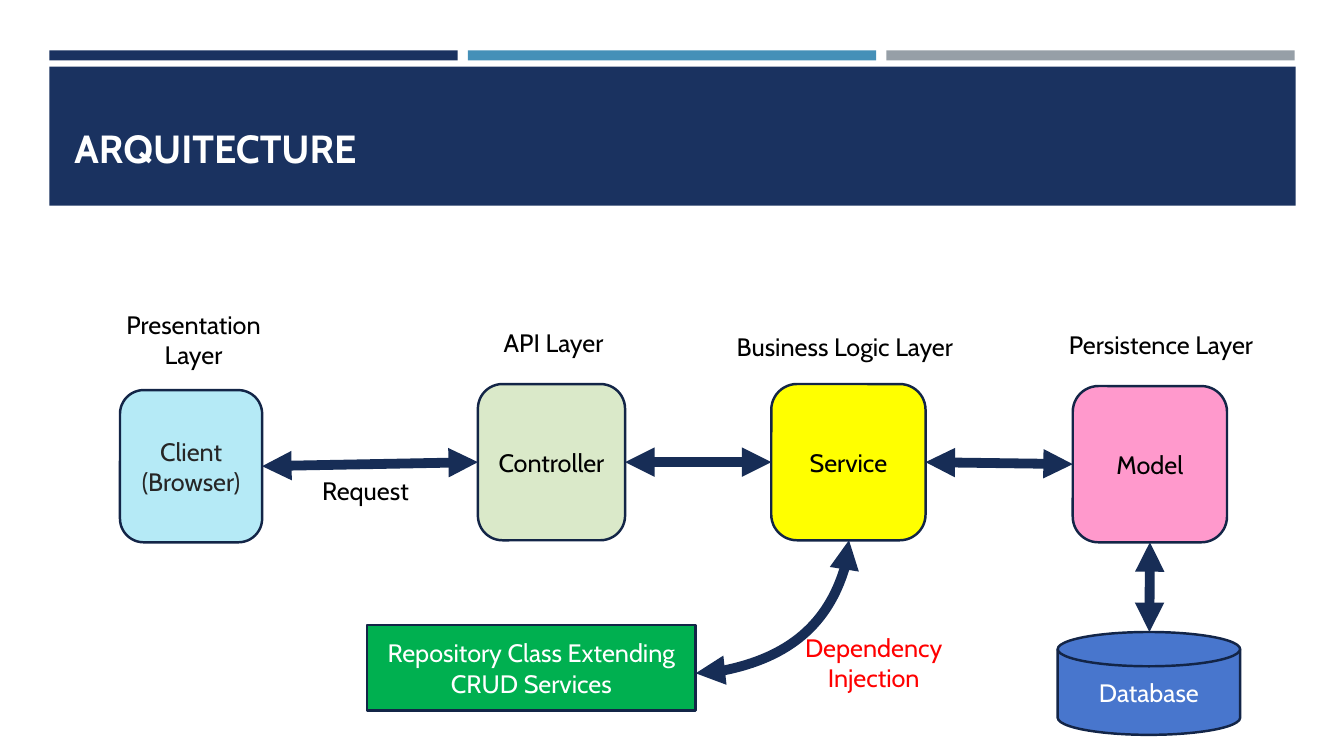
from lxml.etree import SubElement
from pptx import Presentation
from pptx.dml.color import RGBColor
from pptx.enum.shapes import MSO_CONNECTOR as Link, MSO_SHAPE as Shape
from pptx.enum.text import MSO_ANCHOR as Anchor, PP_ALIGN as Align
from pptx.oxml.ns import qn
from pptx.util import Inches, Pt

NAVY, OUTLINE, ARROW = "1A3260", "132547", "172D56"
BLACK, WHITE = "000000", "FFFFFF"


def rgb(color):
    return RGBColor.from_string(color)


class Diagram:
    font = "Cabin"
    size = 18

    def __init__(self, slide):
        self.shapes = slide.shapes

    def add_text(self, shape, text, color, align=Align.CENTER, anchor=Anchor.MIDDLE,
                 size=size, bold=False):
        frame = shape.text_frame
        frame.word_wrap = True
        frame.vertical_anchor = anchor
        frame.text = text
        font_format = {"name": self.font, "size": Pt(size), "bold": bold}
        for paragraph in frame.paragraphs:
            paragraph.alignment = align
            for run in paragraph.runs:
                for key, value in font_format.items():
                    setattr(run.font, key, value)
                run.font.color.rgb = rgb(color)

    def box(self, at, fill, kind=Shape.RECTANGLE, text=None, color=BLACK):
        shape = self.shapes.add_shape(kind, *map(Inches, at))
        shape.shadow.inherit = False
        shape.fill.solid()
        shape.fill.fore_color.rgb = rgb(fill)
        if text is None:
            shape.line.fill.background()
        else:
            shape.line.color.rgb = rgb(OUTLINE)
            shape.line.width = Pt(1.75)
            self.add_text(shape, text, color)
        return shape

    def label(self, at, text, color=BLACK, **style):
        self.add_text(self.shapes.add_textbox(*map(Inches, at)), text, color, **style)

    def arrow(self, start, end, kind=Link.STRAIGHT):
        connector = self.shapes.add_connector(kind, *map(Inches, start + end))
        connector.line.color.rgb = rgb(ARROW)
        connector.line.width = Pt(7)
        properties = connector._element.spPr
        line = properties.find(qn("a:ln"))
        for tip in ("a:headEnd", "a:tailEnd"):
            SubElement(line, qn(tip), type="triangle")
        SubElement(properties, qn("a:effectLst"))
        if kind == Link.CURVE:
            # One quarter bend instead of an S
            properties.find(qn("a:prstGeom")).set("prst", "curvedConnector2")
        return connector


def main():
    deck = Presentation()
    deck.slide_width, deck.slide_height = Inches(13.33), Inches(7.5)
    diagram = Diagram(deck.slides.add_slide(deck.slide_layouts[6]))

    # Header band
    for column, stripe in enumerate((NAVY, "4590B8", "969FA7")):
        diagram.box((0.49 + 4.15 * column, 0.5, 4.05, 0.1), stripe)
    diagram.box((0.49, 0.66, 12.36, 1.38), NAVY)
    diagram.label((0.64, 0.8, 12.06, 0.95), "ARQUITECTURE", WHITE,
                  align=Align.LEFT, anchor=Anchor.BOTTOM, size=28, bold=True)

    # Layers
    layers = [
        ((1.19, 3.87, 1.41, 1.51), "B5EAF6", "Client\n(Browser)", "262626"),
        ((4.74, 3.81, 1.46, 1.55), "DAE9C9", "Controller", BLACK),
        ((7.65, 3.81, 1.53, 1.55), "FFFF00", "Service", BLACK),
        ((10.64, 3.83, 1.53, 1.55), "FF99CC", "Model", BLACK),
    ]
    tiers = [diagram.box(at, fill, Shape.ROUNDED_RECTANGLE, text, color)
             for at, fill, text, color in layers]

    # Storage and repository
    diagram.box((10.49, 6.27, 1.81, 1.02), "4876CD",
                Shape.FLOWCHART_MAGNETIC_DISK, "Database", WHITE)
    diagram.box((3.64, 6.2, 3.26, 0.85), "00B050",
                text="Repository Class Extending CRUD Services", color=WHITE)

    # Arrows between neighbouring layers
    for left, right in zip(tiers, tiers[1:]):
        exchange = diagram.arrow((0, 0), (1, 1))
        exchange.begin_connect(left, 3)
        exchange.end_connect(right, 1)

    # Arrows to the database and the repository
    storage = diagram.arrow((11.4, 5.38), (11.4, 6.27))
    storage.begin_connect(tiers[-1], 2)
    diagram.arrow((6.9, 6.68), (8.42, 5.36), Link.CURVE)

    # Labels
    for at, text, color in [
        ((0.87, 3.14, 2.1, 0.46), "Presentation Layer", BLACK),
        ((4.44, 3.17, 2.1, 0.46), "API Layer", BLACK),
        ((7.16, 3.21, 2.44, 0.46), "Business Logic Layer", BLACK),
        ((10.17, 3.19, 2.69, 0.46), "Persistence Layer", BLACK),
        ((2.91, 4.64, 1.43, 0.46), "Request", BLACK),
        ((7.74, 6.16, 1.85, 0.82), "Dependency Injection", "FF0000"),
    ]:
        diagram.label(at, text, color)

    deck.save("out.pptx")


if __name__ == "__main__":
    main()
